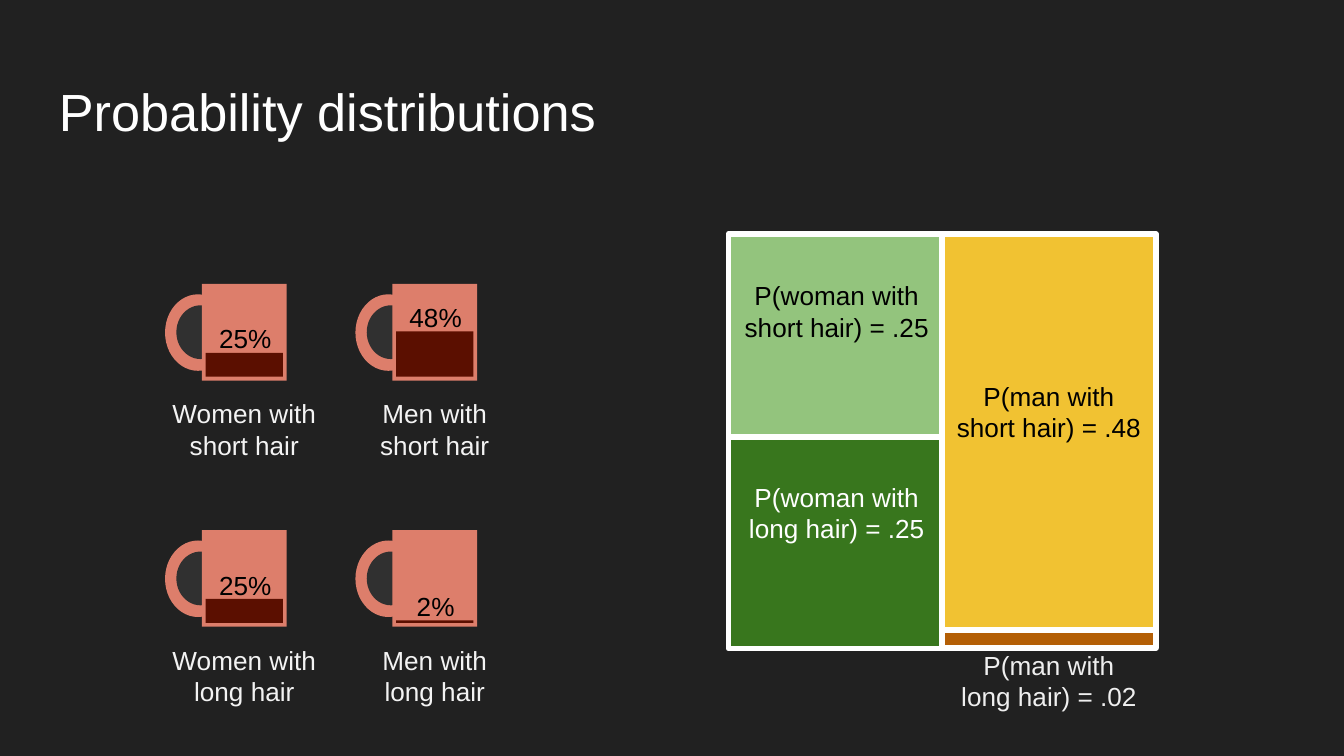
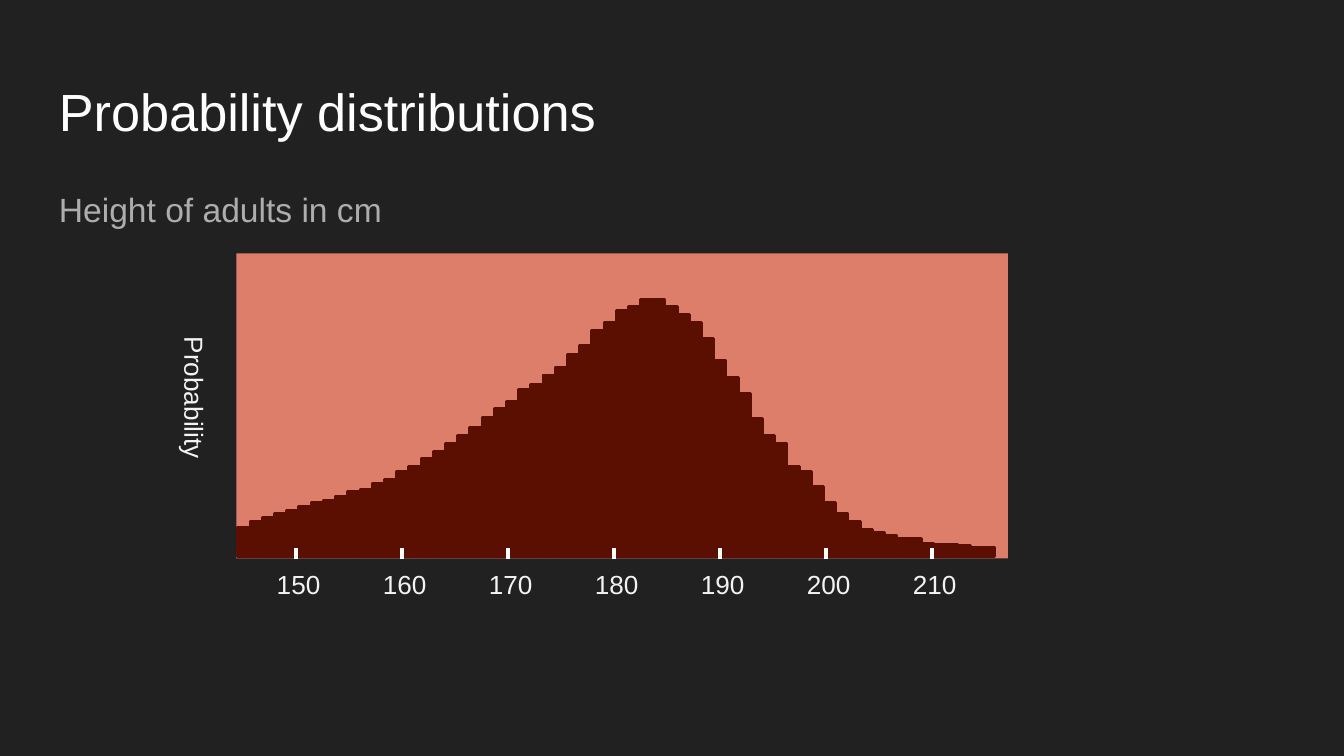
from lxml.etree import SubElement
from pptx import Presentation
from pptx.dml.color import RGBColor
from pptx.enum.shapes import MSO_CONNECTOR as CONN, MSO_SHAPE as SHAPE
from pptx.enum.text import PP_ALIGN as ALIGN
from pptx.oxml.ns import qn
from pptx.util import Pt

FONT = "Arial"
BACKGROUND = "212121"
WHITE, BLACK = "FFFFFF", "000000"
LABEL, PALE, MUTED = "F3F3F3", "EFEFEF", "ADADAD"
MUG, MUG_HOLE, COFFEE = "DD7E6B", "303030", "5B0F00"

CUP_W, CUP_H = 45.4, 51.8
BAR_STEP, BAR_W, BAR_BASE = 6.54, 6.5, 298.1
BAR_HEIGHTS = [
    15.8, 18.7, 20.9, 23, 24.5, 26.6, 28.8, 30.2, 32.4, 34.6, 36, 38.9, 41,
    45.4, 48.2, 52.6, 56.2, 60.5, 64.8, 69.1, 74.2, 79.2, 82.8, 89.3, 92.2,
    97.2, 101.5, 108, 113, 121, 125.3, 131.8, 133.9, 137.5, 137.5, 133.9,
    129.6, 125.3, 116.6, 105.1, 95.8, 87.1, 73.8, 64.8, 60.5, 48.2, 45.4,
    37.4, 28.8, 23, 18.7, 14.4, 13, 11.5, 9.4, 9.4, 7.2, 6.5, 6.5, 5.8, 5, 5,
]


def rgb(value):
    return RGBColor.from_string(value)


def add_box(s, x, y, w, h, fill, line=None, width=1.5, kind=SHAPE.RECTANGLE):
    sp = s.shapes.add_shape(kind, Pt(x), Pt(y), Pt(w), Pt(h))
    sp.shadow.inherit = False
    sp.fill.solid()
    sp.fill.fore_color.rgb = rgb(fill)
    if line:
        sp.line.color.rgb = rgb(line)
        sp.line.width = Pt(width)
    else:
        sp.line.fill.background()
    return sp


def add_text(s, text, x, y, w, h, size=14, color=LABEL, align=ALIGN.CENTER,
             spacing=None, rotation=0):
    sp = s.shapes.add_textbox(Pt(x), Pt(y), Pt(w), Pt(h))
    sp.rotation = rotation
    tf = sp.text_frame
    tf.word_wrap = True
    tf.margin_left = tf.margin_right = Pt(7.2)
    tf.margin_top = tf.margin_bottom = Pt(7.2)
    p = tf.paragraphs[0]
    p.alignment = align
    if spacing:
        p.line_spacing = spacing
    r = p.add_run()
    r.text = text
    r.font.name = FONT
    r.font.size = Pt(size)
    r.font.color.rgb = rgb(color)
    return sp


def add_tick(s, x, top, bottom):
    c = s.shapes.add_connector(CONN.STRAIGHT, Pt(x), Pt(bottom), Pt(x), Pt(top))
    c.line.color.rgb = rgb(WHITE)
    c.line.width = Pt(2.25)
    SubElement(c._element.spPr, qn("a:effectLst"))


def add_mug(s, x, y, percent, caption, caption_w):
    add_box(s, x - 19.8, y + 5.6, 35.3, 41, MUG, kind=SHAPE.OVAL)
    add_box(s, x - 13.7, y + 11.5, 25.9, 28.8, MUG_HOLE, kind=SHAPE.OVAL)
    add_box(s, x, y, CUP_W, CUP_H, MUG)
    level = percent * 0.5 + 0.3
    surface = y + 49.7 - level
    add_box(s, x + 2, surface, CUP_W - 4, level, COFFEE)
    add_text(s, f"{percent}%", x, surface - 23.3, 46.4, 27.4, color=BLACK)
    add_text(s, caption, x + (CUP_W - caption_w) / 2, y + 53.8, caption_w, 46)


def add_titled_slide(prs, title):
    s = prs.slides.add_slide(prs.slide_layouts[6])
    s.background.fill.solid()
    s.background.fill.fore_color.rgb = rgb(BACKGROUND)
    add_text(s, title, 24.5, 35.3, 671, 45.4, size=28, color=WHITE,
             align=ALIGN.LEFT)
    return s


def add_hair_slide(prs):
    s = add_titled_slide(prs, "Probability distributions")
    groups = [("Women", 93, (25, 25)), ("Men", 76, (48, 2))]
    for col, (who, caption_w, shares) in enumerate(groups):
        for row, (hair, share) in enumerate(zip(("short", "long"), shares)):
            add_mug(s, 108.2 + 102 * col, 152.1 + 131.9 * row, share,
                    f"{who} with {hair} hair", caption_w)

    women_x, men_x, tile_w = 390.2, 504.7, 114.5
    tiles = [
        (men_x, 125.3, 212.4, "F1C232"),
        (men_x, 337.7, 9.5, "B45F06"),
        (women_x, 125.3, 108.7, "93C47D"),
        (women_x, 234, 113.5, "38761D"),
    ]
    for x, y, h, fill in tiles:
        add_box(s, x, y, tile_w, h, fill, line=WHITE, width=3)
    labels = [
        ("P(woman with short hair) = .25", 386, 142.6, 124.6, BLACK),
        ("P(woman with long hair) = .25", 386, 250.6, 124.6, WHITE),
        ("P(man with short hair) = .48", men_x, 196.6, tile_w, BLACK),
        ("P(man with long hair) = .02", men_x, 340.6, tile_w, PALE),
    ]
    for text, x, y, w, color in labels:
        add_text(s, text, x, y, w, 35.3, color=color)


def add_height_slide(prs):
    s = add_titled_slide(prs, "Probability distributions")
    add_box(s, 126.7, 135.8, 413.3, 163.4, MUG)
    add_text(s, "Height of adults in cm", 24.5, 90.7, 671, 45.4, size=18,
             color=MUTED, align=ALIGN.LEFT, spacing=1.15)
    add_text(s, "Probability", 46.1, 194.4, 110.2, 37.4, rotation=90)
    for i, h in enumerate(BAR_HEIGHTS):
        add_box(s, 127.4 + BAR_STEP * i, BAR_BASE - h, BAR_W, h, COFFEE,
                line=COFFEE)
    for i, height in enumerate(range(150, 211, 10)):
        x = 158.4 + 56.8 * i
        add_tick(s, x, 293.6, 299.4)
        add_text(s, str(height), x - 22.5, 297.5, 48.2, 37.4)


def main():
    prs = Presentation()
    prs.slide_width, prs.slide_height = Pt(720), Pt(405)
    add_hair_slide(prs)
    add_height_slide(prs)
    prs.save("out.pptx")


if __name__ == "__main__":
    main()
